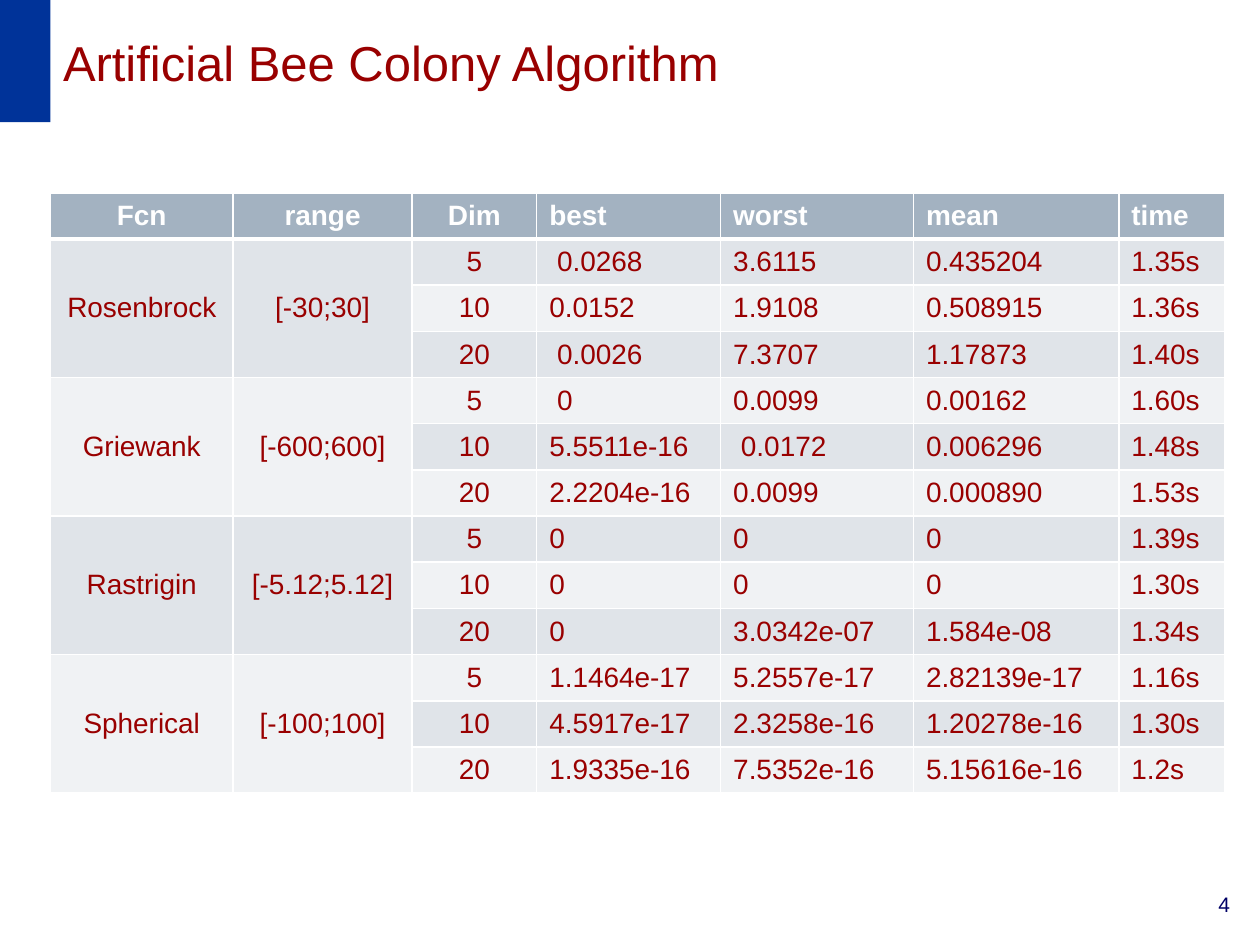
import pptx
import pptx.util
import pptx.oxml
import pptx.dml.color
import pptx.enum.text
import pptx.enum.shapes
from pptx.util import Inches

ALIGN = pptx.enum.text.PP_ALIGN
ANCHOR = pptx.enum.text.MSO_ANCHOR
COLORS = {
    "background": "FFFFFF", "accent": "003399", "text": "990000",
    "number": "000066", "header": "A3B2C1", "dark_band": "E0E4E9",
    "light_band": "F0F2F4", "white": "FFFFFF",
}
HEADINGS = ["Fcn", "range", "Dim", "best", "worst", "mean", "time"]
COLUMN_WIDTHS = [1.45, 1.42, 0.99, 1.46, 1.53, 1.63, 0.84]
DIMENSIONS = ["5", "10", "20"]
CENTERED_COLUMNS = 3
RESULTS = {
    ("Rosenbrock", "[-30;30]"): [
        [" 0.0268", "3.6115", "0.435204", "1.35s"],
        ["0.0152", "1.9108", "0.508915", "1.36s"],
        [" 0.0026", "7.3707", "1.17873", "1.40s"]],
    ("Griewank", "[-600;600]"): [
        [" 0", "0.0099", "0.00162", "1.60s"],
        ["5.5511e-16", " 0.0172 ", "0.006296", "1.48s"],
        ["2.2204e-16", "0.0099", "0.000890", "1.53s"]],
    ("Rastrigin", "[-5.12;5.12]"): [
        ["0", "0", "0", "1.39s"],
        ["0", "0", "0", "1.30s"],
        ["0", "3.0342e-07", "1.584e-08", "1.34s"]],
    ("Spherical", "[-100;100]"): [
        ["1.1464e-17", "5.2557e-17", "2.82139e-17", "1.16s"],
        ["4.5917e-17", "2.3258e-16", "1.20278e-16", "1.30s"],
        ["1.9335e-16", "7.5352e-16", "5.15616e-16", "1.2s"]],
}


def rgb(name):
    """Return the named colour."""
    return pptx.dml.color.RGBColor.from_string(COLORS[name])


def set_attributes(target, values):
    """Set each attribute in values on the target."""
    for name, value in values.items():
        setattr(target, name, value)


class SlideBuilder:
    """Holds the style and the current slide."""

    font_name = "Arial"

    def __init__(self, presentation):
        """Add a title-only slide with a plain background."""
        self.slide = presentation.slides.add_slide(presentation.slide_layouts[5])
        fill = self.slide.background.fill
        fill.solid()
        fill.fore_color.rgb = rgb("background")

    def add_paragraph_text(self, text_frame, text, size, color, bold=False,
                           align=ALIGN.LEFT):
        """Put formatted text in the first paragraph."""
        paragraph = text_frame.paragraphs[0]
        paragraph.alignment = align
        run = paragraph.add_run()
        run.text = text
        set_attributes(run.font, {"name": self.font_name, "bold": bold,
                                  "size": pptx.util.Pt(size)})
        run.font.color.rgb = rgb(color)

    def place_text(self, shape, box, text, **style):
        """Place a text shape and fill in its text."""
        lengths = map(Inches, box)
        set_attributes(shape, dict(zip(("left", "top", "width", "height"), lengths)))
        set_attributes(shape.text_frame, {
            "word_wrap": True, "vertical_anchor": ANCHOR.TOP,
            "auto_size": pptx.enum.text.MSO_AUTO_SIZE.NONE})
        self.add_paragraph_text(shape.text_frame, text, **style)

    def title(self, box, text, **style):
        """Fill the title placeholder."""
        self.place_text(self.slide.shapes.title, box, text, **style)

    def text(self, box, text, **style):
        """Add a text box."""
        shape = self.slide.shapes.add_textbox(*map(Inches, box))
        self.place_text(shape, box, text, **style)

    def rectangle(self, box, color):
        """Add a filled rectangle without outline."""
        shape = self.slide.shapes.add_shape(
            pptx.enum.shapes.MSO_SHAPE.RECTANGLE, *map(Inches, box))
        shape.shadow.inherit = False
        shape.fill.solid()
        shape.fill.fore_color.rgb = rgb(color)
        shape.line.fill.background()

    def cell(self, cell, text, fill, borders, **style):
        """Format one table cell; borders maps each side to its points."""
        cell.vertical_anchor = ANCHOR.MIDDLE
        properties = cell._tc.get_or_add_tcPr()
        for side, points in borders.items():
            properties.append(pptx.oxml.parse_xml(
                '<a:ln%s xmlns:a="http://schemas.openxmlformats.org/drawingml/'
                '2006/main" w="%d"><a:solidFill><a:srgbClr val="%s"/>'
                '</a:solidFill></a:ln%s>'
                % (side, pptx.util.Pt(points), COLORS["white"], side)))
        cell.fill.solid()
        cell.fill.fore_color.rgb = rgb(fill)
        if text:
            self.add_paragraph_text(cell.text_frame, text, **style)

    def table(self, box, rows, widths, group_size, merged_columns):
        """Add a banded table whose first columns merge by group of rows."""
        table = self.slide.shapes.add_table(
            len(rows), len(widths), *map(Inches, box)).table
        for column, width in zip(table.columns, widths):
            column.width = Inches(width)
        for row_index, row in enumerate(rows):
            table.rows[row_index].height = Inches(box[3] / len(rows))
            header = row_index == 0
            band = "dark_band" if row_index % 2 else "light_band"
            borders = {"L": 1, "R": 1, "T": 3 if row_index == 1 else 1,
                       "B": 3 if header else 1}
            for column_index, text in enumerate(row):
                centered = column_index < CENTERED_COLUMNS
                self.cell(table.cell(row_index, column_index), text,
                          "header" if header else band, borders, size=16,
                          color="white" if header else "text", bold=header,
                          align=ALIGN.CENTER if centered else ALIGN.LEFT)
        for first in range(1, len(rows), group_size):
            for column_index in range(merged_columns):
                table.cell(first, column_index).merge(
                    table.cell(first + group_size - 1, column_index))


def result_rows():
    """Return the heading row and one row per function and dimension."""
    rows = [HEADINGS]
    for labels, runs in RESULTS.items():
        for index, (dimension, values) in enumerate(zip(DIMENSIONS, runs)):
            rows.append([*(labels if index == 0 else ("", "")), dimension, *values])
    return rows


def main():
    """Build and save the presentation."""
    presentation = pptx.Presentation()
    set_attributes(presentation, {"slide_width": Inches(10),
                                  "slide_height": Inches(7.5)})
    builder = SlideBuilder(presentation)
    builder.text((7.69, 7.03, 2.17, 0.52), "4", size=12, color="number",
                 align=ALIGN.RIGHT)
    builder.rectangle((0, 0, 0.4, 0.97), "accent")
    builder.title((0.4, 0.21, 6.35, 0.57), "Artificial Bee Colony Algorithm",
                  size=28, color="text")
    builder.table((0.4, 1.53, 9.31, 4.77), result_rows(), COLUMN_WIDTHS,
                  group_size=len(DIMENSIONS), merged_columns=2)
    presentation.save("out.pptx")


main()
